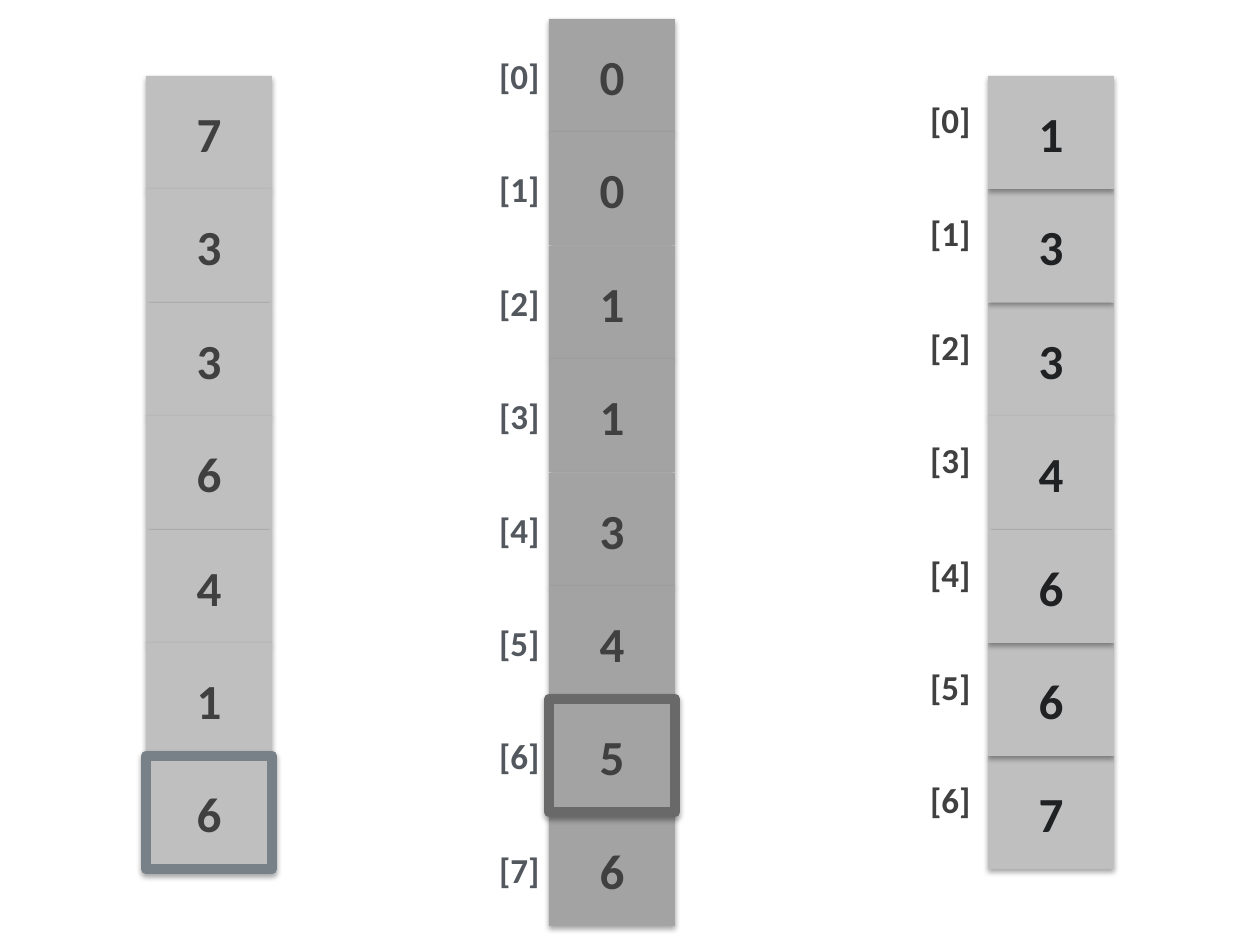
from lxml import etree
from pptx import Presentation
from pptx.dml.color import RGBColor
from pptx.enum.shapes import MSO_SHAPE as Preset
from pptx.enum.text import MSO_ANCHOR as Anchor, MSO_AUTO_SIZE as AutoSize, PP_ALIGN as Align
from pptx.oxml.ns import qn
from pptx.util import Emu, Pt

PIXEL = 914400 // 126
FONT = "Calibri"
CELL_WIDTH, CELL_HEIGHT = 126, 113
ROW_PITCH = 113.4
LABEL_WIDTH, LABEL_HEIGHT = 126, 55
COLORS = {
    "light": "BFBFBF",
    "medium": "A3A3A3",
    "dark text": "404040",
    "sorted text": "1F2123",
    "count label": "53585E",
    "input frame": "788088",
    "count frame": "696969",
    "shadow": "000000",
}


def px(pixels):
    return Emu(round(pixels * PIXEL))


def color(name):
    return RGBColor.from_string(COLORS[name])


def row_top(top, row):
    return round(top + row * ROW_PITCH)


def add_shadow(shape):
    effects = etree.SubElement(shape.element.spPr, qn("a:effectLst"))
    shadow = etree.SubElement(effects, qn("a:outerShdw"), blurRad="40000",
                              dist="23000", dir="5400000", rotWithShape="0")
    tint = etree.SubElement(shadow, qn("a:srgbClr"), val=COLORS["shadow"])
    etree.SubElement(tint, qn("a:alpha"), val="35000")


def write_text(shape, text, size, text_color, align):
    frame = shape.text_frame
    frame.word_wrap = True
    frame.vertical_anchor = Anchor.MIDDLE
    paragraph = frame.paragraphs[0]
    paragraph.alignment = align
    run = paragraph.add_run()
    run.text = text
    run.font.name = FONT
    run.font.size = Pt(size)
    run.font.bold = True
    run.font.color.rgb = color(text_color)


def add_cell(slide, left, top, value, fill, text_color, frame_color=None):
    shape = slide.shapes.add_shape(Preset.RECTANGLE, px(left), px(top),
                                   px(CELL_WIDTH), px(CELL_HEIGHT))
    shape.fill.solid()
    shape.fill.fore_color.rgb = color(fill)
    if frame_color:
        shape.line.color.rgb = color(frame_color)
        shape.line.width = Pt(6)
    else:
        shape.line.fill.background()
    add_shadow(shape)
    write_text(shape, str(value), 28, text_color, Align.CENTER)


def add_column(slide, left, top, values, fill, text_color, order=None, skip=None):
    for row in order or range(len(values)):
        if row != skip:
            add_cell(slide, left, row_top(top, row), values[row], fill, text_color)


def add_index_labels(slide, left, top, count, text_color):
    group = slide.shapes.add_group_shape()
    for row in range(count):
        label = group.shapes.add_textbox(px(left), px(row_top(top, row)),
                                         px(LABEL_WIDTH), px(LABEL_HEIGHT))
        write_text(label, f"[{row}]", 20, text_color, Align.RIGHT)
        label.text_frame.auto_size = AutoSize.SHAPE_TO_FIT_TEXT


def main():
    presentation = Presentation()
    presentation.slide_width, presentation.slide_height = px(1260), px(945)
    slide = presentation.slides.add_slide(presentation.slide_layouts[6])

    input_values = [7, 3, 3, 6, 4, 1, 6]
    counts = [0, 0, 1, 1, 3, 4, 5, 6]
    sorted_values = [1, 3, 3, 4, 6, 6, 7]
    current = 6

    # Sorted array, stacked in the order in which the cells are filled
    add_column(slide, 988, 76, sorted_values, "light", "sorted text",
               order=[6, 2, 1, 5, 3, 0, 4])

    # Input array and running counts
    add_column(slide, 146, 76, input_values, "light", "dark text", skip=current)
    add_column(slide, 549, 19, counts, "medium", "dark text", skip=current)

    # Index labels
    add_index_labels(slide, 426, 48, len(counts), "count label")
    add_index_labels(slide, 857, 92, len(sorted_values), "dark text")

    # Framed current cells, on top of their neighbours
    add_cell(slide, 146, row_top(76, current), input_values[current],
             "light", "dark text", "input frame")
    add_cell(slide, 549, row_top(19, current), counts[current],
             "medium", "dark text", "count frame")

    presentation.save("out.pptx")


main()
